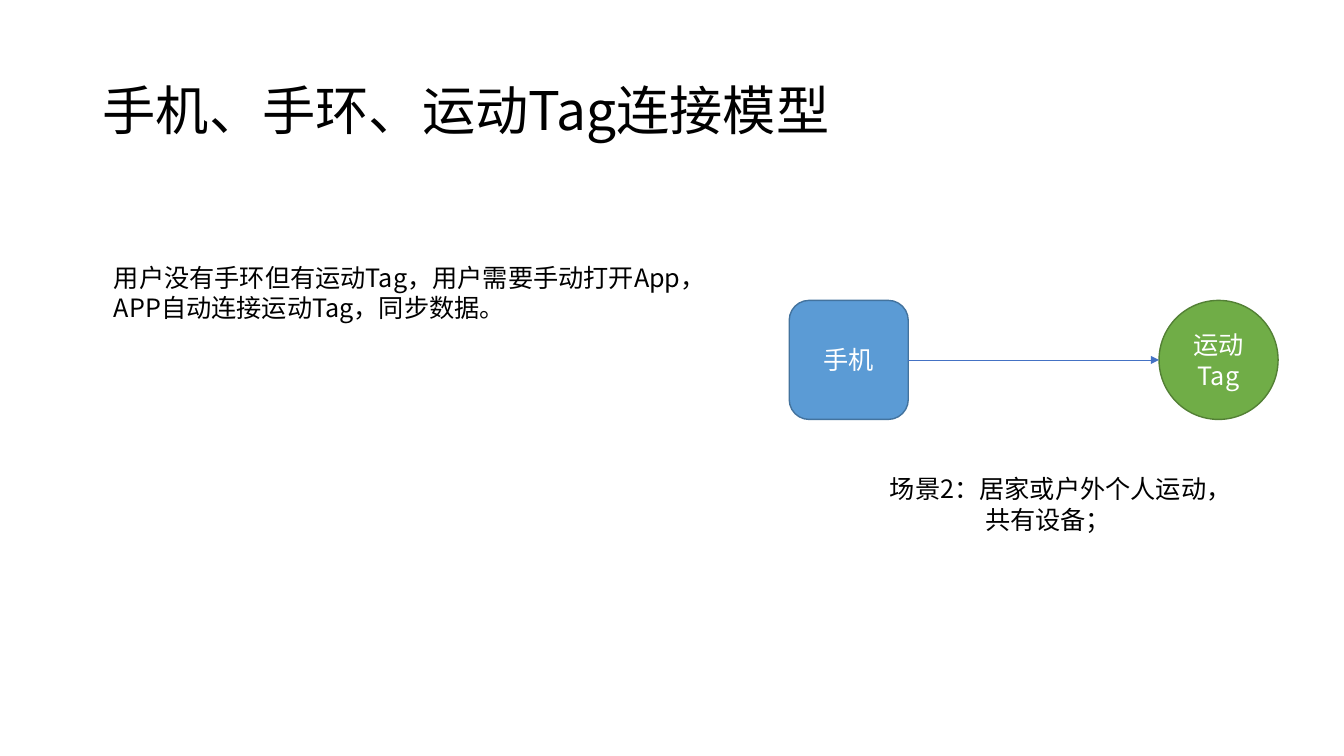
"""Build the slide on how a phone connects to a sports tag."""
import lxml.etree
import pptx
import pptx.dml.color
import pptx.enum.shapes
import pptx.enum.text
import pptx.oxml.ns
import pptx.util
from pptx.util import Cm

FONT = "Noto Sans CJK SC"
COLORS = {
    "text": "000000",
    "node_text": "FFFFFF",
    "phone": "5B9BD5",
    "phone_edge": "43739E",
    "tag": "70AD47",
    "tag_edge": "538035",
    "arrow": "4472C4",
}
NODE_SIZE = Cm(3)
NODE_TOP = Cm(7.57)
PHONE_LEFT = Cm(19.89)
TAG_LEFT = Cm(29.21)
ALIGN = pptx.enum.text.PP_ALIGN
ANCHOR = pptx.enum.text.MSO_ANCHOR
SHAPE = pptx.enum.shapes.MSO_SHAPE


def color(name):
    return pptx.dml.color.RGBColor.from_string(COLORS[name])


def add_text(shape, text, size, color_name, align, anchor):
    frame = shape.text_frame
    frame.word_wrap = True
    frame.vertical_anchor = anchor
    para = frame.paragraphs[0]
    para.alignment = align
    span = para.add_run()
    span.text = text
    span.font.size = pptx.util.Pt(size)
    span.font.name = FONT
    span.font.color.rgb = color(color_name)
    east_asian = lxml.etree.SubElement(span.font._element, pptx.oxml.ns.qn("a:ea"))
    east_asian.set("typeface", FONT)
    return para


def add_label(page, bounds, text, size=18, align=ALIGN.LEFT, anchor=ANCHOR.TOP):
    box = page.shapes.add_textbox(*bounds)
    return add_text(box, text, size, "text", align, anchor)


def add_node(page, kind, left, text, fill):
    node = page.shapes.add_shape(kind, left, NODE_TOP, NODE_SIZE, NODE_SIZE)
    node.shadow.inherit = False
    node.fill.solid()
    node.fill.fore_color.rgb = color(fill)
    node.line.color.rgb = color(fill + "_edge")
    node.line.width = pptx.util.Pt(1)
    add_text(node, text, 18, "node_text", ALIGN.CENTER, ANCHOR.MIDDLE)


def add_arrow(page, start, end, y):
    arrow = page.shapes.add_connector(
        pptx.enum.shapes.MSO_CONNECTOR.STRAIGHT, start, y, end, y)
    arrow.line.color.rgb = color("arrow")
    arrow.line.width = pptx.util.Pt(0.5)
    qn = pptx.oxml.ns.qn
    properties = arrow._element.spPr
    head = lxml.etree.SubElement(properties.find(qn("a:ln")), qn("a:tailEnd"))
    head.set("type", "triangle")
    lxml.etree.SubElement(properties, qn("a:effectLst"))


def main():
    deck = pptx.Presentation()
    deck.slide_width, deck.slide_height = Cm(33.87), Cm(19.05)
    page = deck.slides.add_slide(deck.slide_layouts[6])

    title = add_label(page, (Cm(2.34), Cm(1.02), Cm(29.21), Cm(3.68)),
                      "手机、手环、运动Tag连接模型", size=38, anchor=ANCHOR.MIDDLE)
    title.line_spacing = 0.9
    add_label(page, (Cm(2.62), Cm(6.48), Cm(15.7), Cm(1.8)),
              "用户没有手环但有运动Tag，用户需要手动打开App，APP自动连接运动Tag，同步数据。")
    add_label(page, (Cm(21.97), Cm(11.81), Cm(8.89), Cm(1.8)),
              "场景2：居家或户外个人运动，共有设备；", align=ALIGN.CENTER)

    add_node(page, SHAPE.OVAL, TAG_LEFT, "运动Tag", "tag")
    add_node(page, SHAPE.ROUNDED_RECTANGLE, PHONE_LEFT, "手机", "phone")
    add_arrow(page, PHONE_LEFT + NODE_SIZE, TAG_LEFT, NODE_TOP + NODE_SIZE // 2)
    deck.save("out.pptx")


if __name__ == "__main__":
    main()
